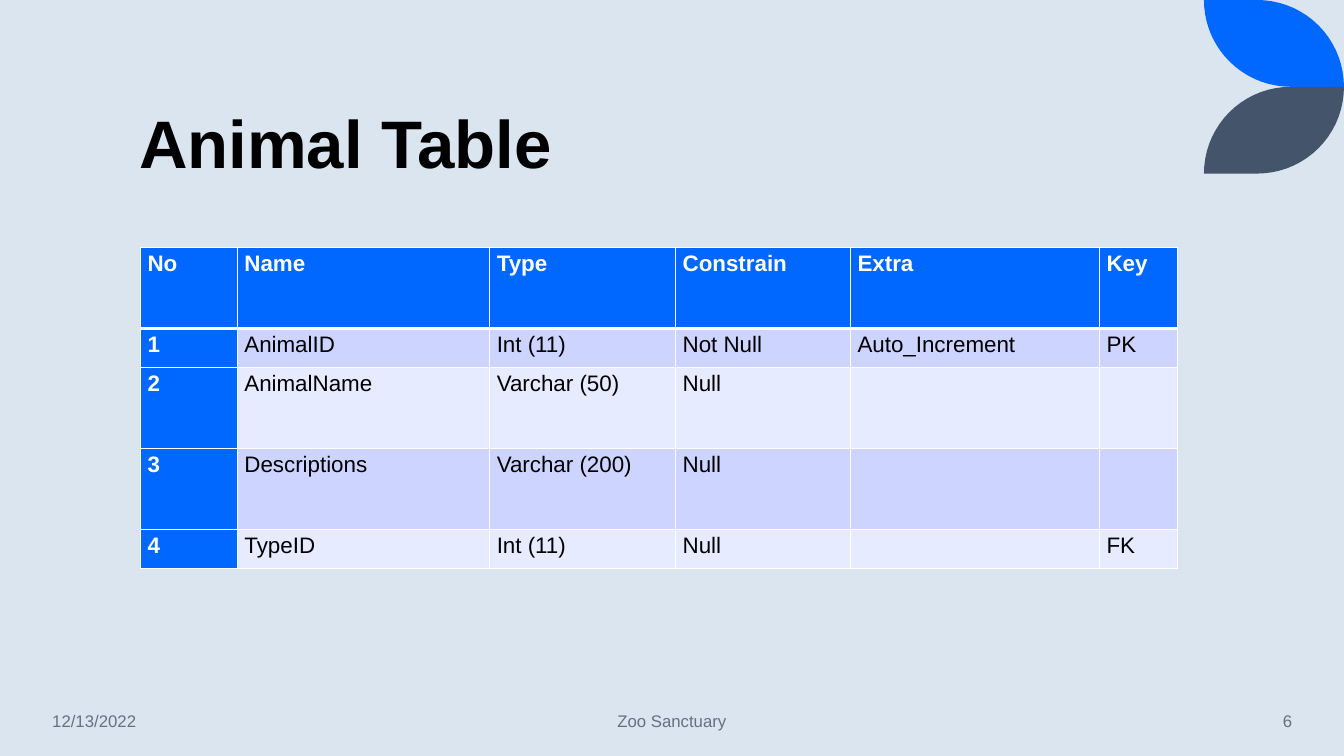
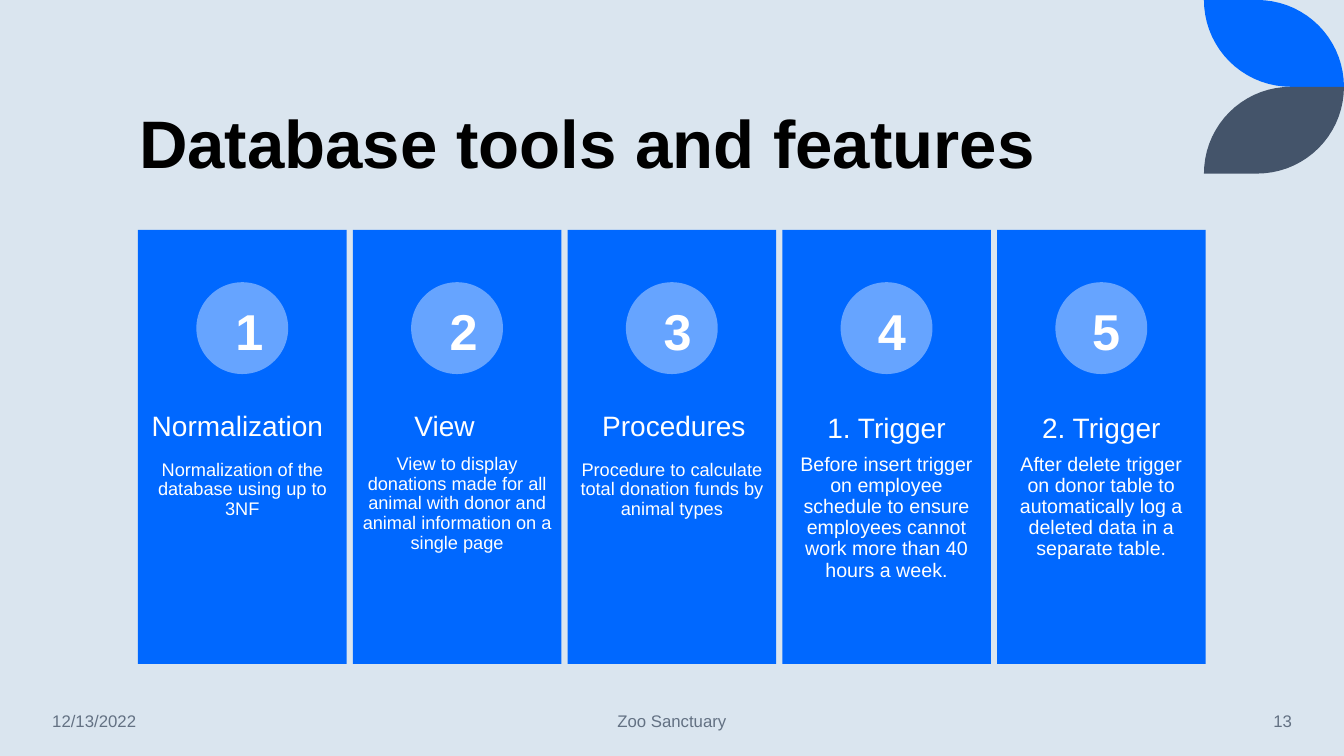
from math import cos, radians, sin

from lxml.etree import SubElement
from pptx import Presentation
from pptx.dml.color import RGBColor as RGB
from pptx.enum.shapes import MSO_SHAPE as SHAPE
from pptx.enum.text import MSO_ANCHOR as ANCHOR, PP_ALIGN as ALIGN
from pptx.oxml.ns import qn
from pptx.util import Pt

COLORS = {
    "back": "DAE5EF", "blue": "0068FF", "slate": "44546A", "pale": "66A4FF",
    "band": "CCD4FF", "light": "E7EBFF", "foot": "637183",
    "black": "000000", "white": "FFFFFF",
}
FONT = "Arial"
WIDE, HIGH = 960, 540


def rgb(name):
    return RGB.from_string(COLORS[name])


def write(frame, text, size=16, color="white", bold=False, align=ALIGN.LEFT,
          space=None, after=None):
    """Fill the first paragraph, or add one after it."""
    para = frame.paragraphs[0]
    if para.runs:
        para = frame.add_paragraph()
    para.alignment = align
    if space:
        para.line_spacing = space
    if after is not None:
        para.space_after = Pt(after)
    run = para.add_run()
    run.text = text
    font = run.font
    font.name, font.size, font.bold = FONT, Pt(size), bold
    font.color.rgb = rgb(color)


class Deck:
    def __init__(self):
        self.prs = Presentation()
        self.prs.slide_width, self.prs.slide_height = Pt(WIDE), Pt(HIGH)
        self.slide = None

    def start(self, title, number):
        """New slide with background, leaves, title and footer."""
        self.slide = self.prs.slides.add_slide(self.prs.slide_layouts[6])
        fill = self.slide.background.fill
        fill.solid()
        fill.fore_color.rgb = rgb("back")
        self.leaf("blue")
        self.leaf("slate", flip=True)
        self.text(92.2, 30.2, 769.7, 104.4, title, anchor=ANCHOR.BOTTOM,
                  size=48, color="black", bold=True, space=0.9)
        for left, width, label, align in (
                (30.2, 134, "12/13/2022", ALIGN.LEFT),
                (318, 324, "Zoo Sanctuary", ALIGN.CENTER),
                (799.4, 130.6, number, ALIGN.RIGHT)):
            self.text(left, 500.6, width, 28.8, label, anchor=ANCHOR.MIDDLE,
                      size=12, color="foot", align=align)

    def paint(self, shape, color):
        shape.shadow.inherit = False
        shape.fill.solid()
        shape.fill.fore_color.rgb = rgb(color)
        shape.line.fill.background()

    def leaf(self, color, flip=False):
        """Leaf of two quarter circles in the top right corner."""
        width, rad = 100, 62
        turns = [radians(step * 5) for step in range(19)]
        points = [(width - rad + rad * sin(a), rad - rad * cos(a))
                  for a in turns]
        points += [(rad - rad * sin(a), rad * cos(a)) for a in turns]
        points = [(Pt(WIDE - width + x), Pt(2 * rad - y if flip else y))
                  for x, y in points]
        build = self.slide.shapes.build_freeform(*points[0])
        build.add_line_segments(points[1:], close=True)
        self.paint(build.convert_to_shape(), color)

    def shape(self, kind, left, top, width, height, color):
        item = self.slide.shapes.add_shape(
            kind, Pt(left), Pt(top), Pt(width), Pt(height))
        self.paint(item, color)

    def text(self, left, top, width, height, text="", anchor=ANCHOR.TOP,
             inset=None, **style):
        box = self.slide.shapes.add_textbox(
            Pt(left), Pt(top), Pt(width), Pt(height))
        frame = box.text_frame
        frame.word_wrap = True
        frame.vertical_anchor = anchor
        if inset is not None:
            frame.margin_left = frame.margin_right = Pt(inset)
            frame.margin_top = frame.margin_bottom = Pt(inset)
        if text:
            write(frame, text, **style)
        return frame

    def edge(self, cell, **widths):
        """White borders; widths by side: L, R, T, B."""
        props = cell._tc.get_or_add_tcPr()
        for spot, side in enumerate("LRTB"):
            line = SubElement(props, qn(f"a:ln{side}"),
                              w=str(Pt(widths.get(side, 1))))
            fill = SubElement(line, qn("a:solidFill"))
            SubElement(fill, qn("a:srgbClr"), val=COLORS["white"])
            props.insert(spot, line)

    def table(self, left, top, cols, heights, rows):
        grid = self.slide.shapes.add_table(
            len(rows), len(cols), Pt(left), Pt(top),
            Pt(sum(cols)), Pt(sum(heights))).table
        for col, width in zip(grid.columns, cols):
            col.width = Pt(width)
        for r, (row, height) in enumerate(zip(rows, heights)):
            grid.rows[r].height = Pt(height)
            for c, value in enumerate(row):
                cell = grid.cell(r, c)
                head = r == 0 or c == 0
                cell.margin_left = cell.margin_right = Pt(5.2)
                cell.margin_top = cell.margin_bottom = 0
                cell.fill.solid()
                cell.fill.fore_color.rgb = rgb(
                    "blue" if head else "band" if r % 2 else "light")
                self.edge(cell, T=3 if r == 1 else 1, B=3 if r == 0 else 1)
                if value:
                    write(cell.text_frame, value, bold=head, space=1.15,
                          after=8, color="white" if head else "black")


deck = Deck()

# Animal table
deck.start("Animal Table", "6")
tall, low = 57.8, 27.9
deck.table(100.2, 176.8, [69.2, 180.3, 132.8, 124.9, 177.9, 55.6],
           [tall, low, tall, tall, low], [
    ("No", "Name", "Type", "Constrain", "Extra", "Key"),
    ("1", "AnimalID", "Int (11)", "Not Null", "Auto_Increment", "PK"),
    ("2", "AnimalName", "Varchar (50)", "Null", "", ""),
    ("3", "Descriptions", "Varchar (200)", "Null", "", ""),
    ("4", "TypeID", "Int (11)", "Null", "", "FK"),
])

# Tools: cards with a disc, a number and a text
deck.start("Database tools and features", "13")
LEFT, STEP, CARD, DISC, BODY = 98.6, 153.4, 149, 65.6, 288
mid = {"align": ALIGN.CENTER, "space": 0.9}
tools = [
    ("Normalization", "Normalization of the database using up to 3NF"),
    ("View", "View to display donations made for all animal with donor "
             "and animal information on a single page"),
    ("Procedures", "Procedure to calculate total donation funds by "
                   "animal types"),
    ("1. Trigger", "Before insert trigger on employee schedule to ensure "
                   "employees cannot work more than 40 hours a week."),
    ("2. Trigger", "After delete trigger on donor table to automatically "
                   "log a deleted data in a separate table."),
]
# Separate headings: left, width
heads = {"Normalization": (92.2, 154.8), "View": (257.8, 119.5),
         "Procedures": (421.6, 119.5)}
drops = {"View": 10}

for i, (name, note) in enumerate(tools):
    x = LEFT + i * STEP
    deck.shape(SHAPE.RECTANGLE, x, 164.2, CARD, 310, "blue")
    deck.shape(SHAPE.OVAL, x + (CARD - DISC) / 2, 201.6, DISC, DISC, "pale")
    deck.text(160.9 + i * 153, 211, 34.4, 51, str(i + 1), size=36, bold=True,
              align=ALIGN.CENTER)
    if name in heads:
        spot, width = heads[name]
        deck.text(spot, BODY, width, 31.7, name, size=20, align=ALIGN.CENTER)
        deck.text(x, BODY + drops.get(name, 0), CARD, 124, note,
                  anchor=ANCHOR.MIDDLE, inset=7.2, size=13, **mid)
    else:
        frame = deck.text(x, BODY, CARD, 124, name, inset=7.9, size=20,
                          after=7, **mid)
        write(frame, note, size=14, **mid)

deck.prs.save("out.pptx")
